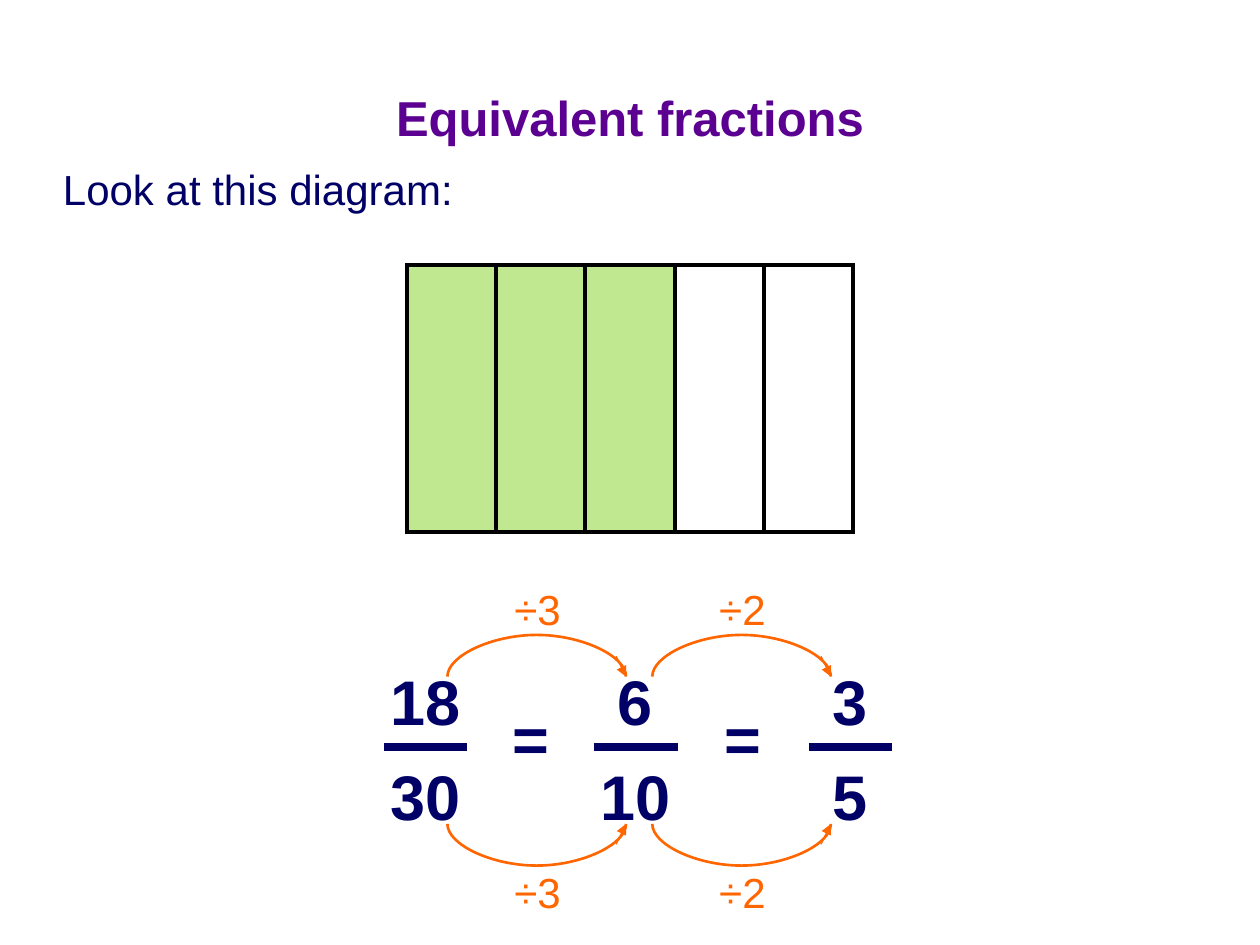
from lxml.etree import SubElement
from pptx import Presentation
from pptx.dml.color import RGBColor
from pptx.enum.shapes import MSO_CONNECTOR, MSO_SHAPE
from pptx.enum.text import MSO_ANCHOR, MSO_AUTO_SIZE, PP_ALIGN
from pptx.oxml.ns import qn
from pptx.util import Cm, Pt

COLORS = {
    "title": "5B0091",
    "text": "010066",
    "arrow": "FF6600",
    "shaded": "C0E890",
    "plain": "FFFFFF",
    "outline": "000000",
}


class FractionSlide:
    """Holds the style and the slide, and draws each kind of element in centimetres."""

    font_name = "Arial"

    def __init__(self, slide):
        self.slide = slide

    def color(self, name):
        return RGBColor.from_string(COLORS[name])

    def text(self, words, left, top, width, height, size, color, bold=False,
             align=PP_ALIGN.LEFT):
        box = self.slide.shapes.add_textbox(Cm(left), Cm(top), Cm(width), Cm(height))
        frame = box.text_frame
        frame.word_wrap = False
        frame.auto_size = MSO_AUTO_SIZE.SHAPE_TO_FIT_TEXT
        paragraph = frame.paragraphs[0]
        paragraph.alignment = align
        run = paragraph.add_run()
        run.text = words
        run.font.name = self.font_name
        run.font.size = Pt(size)
        run.font.bold = bold
        run.font.color.rgb = self.color(color)
        return frame

    def title(self, words):
        frame = self.text(words, 1.27, 0.76, 22.86, 3.18, 28, "title", bold=True,
                          align=PP_ALIGN.CENTER)
        frame.word_wrap = True
        frame.auto_size = MSO_AUTO_SIZE.NONE
        frame.vertical_anchor = MSO_ANCHOR.MIDDLE

    def symbol(self, words, center, top):
        width = 0.53 + 0.7 * len(words)
        self.text(words, center - width / 2, top, width, 1.78, 36, "text", bold=True)

    def line(self, start_x, start_y, end_x, end_y, color, weight, arrowhead=False):
        connector = self.slide.shapes.add_connector(
            MSO_CONNECTOR.STRAIGHT, Cm(start_x), Cm(start_y), Cm(end_x), Cm(end_y))
        connector.line.color.rgb = self.color(color)
        connector.line.width = Pt(weight)
        if arrowhead:
            SubElement(connector.line._get_or_add_ln(), qn("a:tailEnd"), type="triangle")
        SubElement(connector._element.spPr, qn("a:effectLst"))

    def fraction(self, numerator, denominator, center):
        self.symbol(numerator, center, 13.23)
        self.line(center - 0.84, 15.06, center + 0.84, 15.06, "text", 4.5)
        self.symbol(denominator, center, 15.14)

    def arc(self, center, base, direction):
        half_width, bend = 1.8, 0.9
        middle, peak = base + direction * 0.42, base + direction * 0.84
        left, right = center - half_width, center + half_width
        points = [(left, middle), (center - bend, peak), (center, peak),
                  (center + bend, peak), (right, middle), (right, base)]
        builder = self.slide.shapes.build_freeform(Cm(left), Cm(base))
        builder.add_line_segments([(Cm(x), Cm(y)) for x, y in points], close=False)
        shape = builder.convert_to_shape()
        segments = list(shape._element.iter(qn("a:lnTo")))
        outline = segments[0].getparent()
        for first in (0, 3):
            curve = SubElement(outline, qn("a:cubicBezTo"))
            for segment in segments[first:first + 3]:
                curve.append(segment[0])
                outline.remove(segment)
        shape.shadow.inherit = False
        shape.fill.background()
        shape.line.color.rgb = self.color("arrow")
        shape.line.width = Pt(1.5)

    def division(self, words, center):
        for base, direction, label_top in ((13.64, -1, 11.63), (16.61, 1, 17.35)):
            self.arc(center, base, direction)
            self.line(center + 1.6, base + direction * 0.41, center + 1.8, base,
                      "arrow", 0.75, arrowhead=True)
            self.text(words, center - 0.7, label_top, 1.45, 1.27, 24, "arrow")

    def bar(self, left, top, width, height, fill):
        shape = self.slide.shapes.add_shape(
            MSO_SHAPE.RECTANGLE, Cm(left), Cm(top), Cm(width), Cm(height))
        shape.shadow.inherit = False
        shape.fill.solid()
        shape.fill.fore_color.rgb = self.color(fill)
        shape.line.color.rgb = self.color("outline")
        shape.line.width = Pt(2.25)
        SubElement(shape.line._get_or_add_ln(), qn("a:miter"), lim="800000")


def main():
    presentation = Presentation()
    presentation.slide_width = Cm(25.4)
    presentation.slide_height = Cm(19.05)
    page = FractionSlide(presentation.slides.add_slide(presentation.slide_layouts[6]))

    page.text("Look at this diagram:", 1.02, 3.18, 8.36, 1.27, 24, "text")

    for numerator, denominator, center in (
            ("18", "30", 8.58), ("6", "10", 12.82), ("3", "5", 17.14)):
        page.fraction(numerator, denominator, center)
    for center in (10.7, 14.97):
        page.symbol("=", center, 13.97)
    for words, center in (("÷3", 10.82), ("÷2", 14.95)):
        page.division(words, center)

    for index in range(5):
        page.bar(8.2 + 1.8 * index, 5.34, 1.8, 5.38, "shaded" if index < 3 else "plain")

    page.title("Equivalent fractions")

    presentation.save("out.pptx")


if __name__ == "__main__":
    main()
